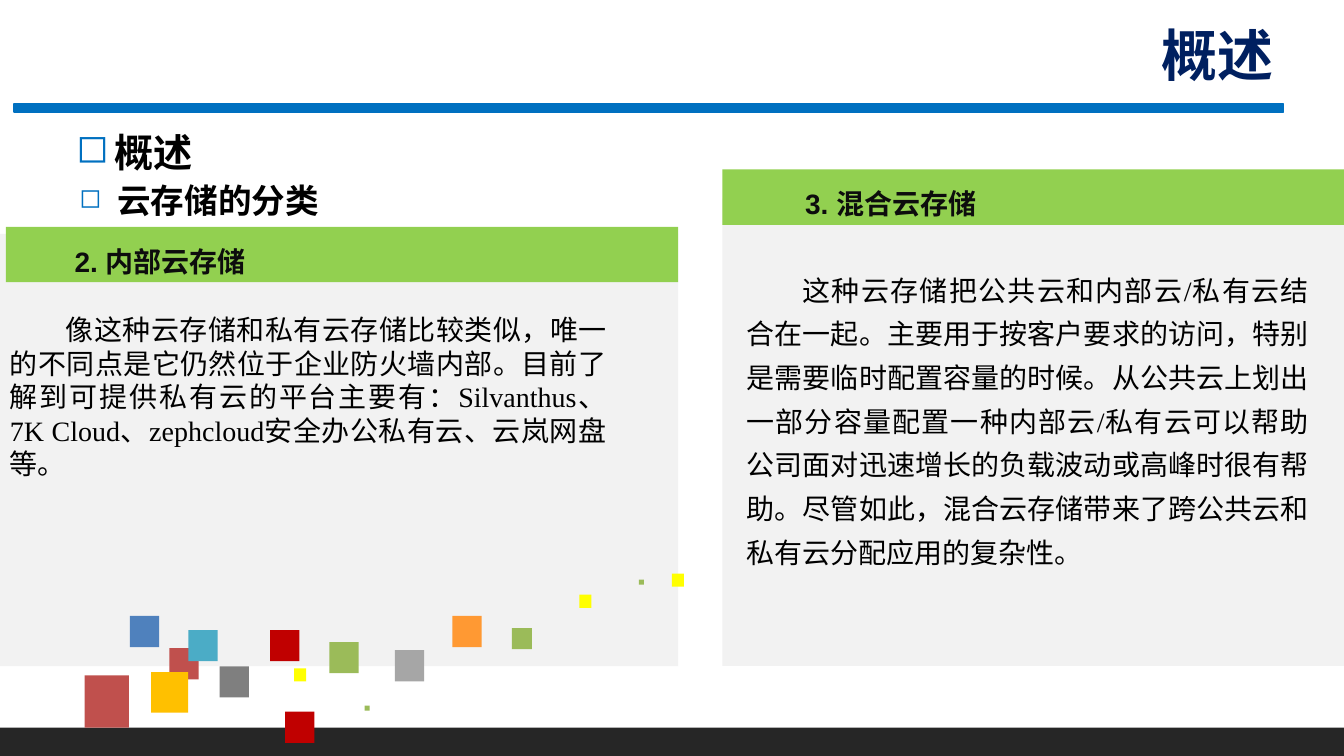
"""Build the slide on internal and hybrid cloud storage."""
from lxml.etree import SubElement
from pptx import Presentation
from pptx.dml.color import RGBColor
from pptx.enum.shapes import MSO_SHAPE as Shape
from pptx.enum.text import MSO_ANCHOR as Anchor, PP_ALIGN as Align
from pptx.oxml.ns import qn
from pptx.util import Pt

WIDTH, HEIGHT = 960.48, 540
CJK_FONT = "Noto Sans CJK SC"
COLORS = {
    "panel": "F2F2F2", "bar": "92D050", "floor": "262626", "rule": "0070C0",
    "title": "002060", "heading": "0D0D0D", "text": "000000",
    "brick": "C0504D", "amber": "FFC000", "teal": "4BACC6", "green": "9BBB59",
    "blue": "4F81BD", "yellow": "FFFF00", "red": "C00000", "gray": "7F7F7F",
    "orange": "FF9933", "silver": "A6A6A6",
}
TITLE = "概述"
OUTLINE = [
    ("概述", 28, 100, (47.5, 87.8, 98.6, 41)),
    ("云存储的分类", 24, 80, (49.7, 125.3, 187.9, 36)),
]
SECTIONS = [
    {
        "heading": "2. 内部云存储",
        "body": "像这种云存储和私有云存储比较类似，唯一的不同点是它仍然位于企业防火墙内部。"
                "目前了解到可提供私有云的平台主要有：Silvanthus、7K Cloud、zephcloud"
                "安全办公私有云、云岚网盘等。",
        "panel": (0, 167, 484.6, 308.9), "bar": (4.3, 162, 480.3, 39.6),
        "heading_box": (43.9, 162.7, 262.8, 41),
        "body_box": (0, 219.6, 440.6, 236.2), "insets": (7.2, 3.6), "spacing": 1.0,
    },
    {
        "heading": "3. 混合云存储",
        "body": "这种云存储把公共云和内部云/私有云结合在一起。主要用于按客户要求的访问，"
                "特别是需要临时配置容量的时候。从公共云上划出一部分容量配置一种内部云/私有云"
                "可以帮助公司面对迅速增长的负载波动或高峰时很有帮助。尽管如此，"
                "混合云存储带来了跨公共云和私有云分配应用的复杂性。",
        "panel": (516.2, 141.8, 444.28, 333.9), "bar": (516.2, 121, 444.28, 39.6),
        "heading_box": (565.9, 121, 262.8, 41),
        "body_box": (524.2, 182.9, 420.5, 236.2), "insets": (9.4, 5), "spacing": 1.3,
    },
]
SIZES = {
    "dot": (3.6, 3.6), "tiny": (8.6, 9.4), "small": (14.4, 15.1),
    "medium": (20.9, 22.3), "large": (26.6, 28.8), "huge": (31.7, 37.4),
}
SQUARES = [
    ("huge", "brick", 60.5, 482.4), ("medium", "brick", 121, 463),
    ("large", "amber", 108, 480.2), ("medium", "teal", 134.6, 450),
    ("dot", "green", 260.6, 504), ("medium", "blue", 92.9, 439.9),
    ("tiny", "yellow", 210.2, 477.4), ("medium", "green", 235.4, 458.6),
    ("medium", "red", 193, 450), ("medium", "gray", 157, 475.9),
    ("medium", "red", 203.8, 508.3), ("dot", "green", 456.5, 414),
    ("tiny", "yellow", 414, 424.8), ("small", "green", 365.8, 448.6),
    ("medium", "orange", 323.3, 439.9), ("medium", "silver", 282.2, 464.4),
    ("tiny", "yellow", 480.2, 409.7),
]


def color(name):
    return RGBColor.from_string(COLORS[name])


def add_block(page, place, fill):
    block = page.shapes.add_shape(Shape.RECTANGLE, *map(Pt, place))
    block.shadow.inherit = False
    block.fill.solid()
    block.fill.fore_color.rgb = color(fill)
    block.line.fill.background()
    return block


def write(box, text, size, font, ink, bold=False, insets=(7.2, 3.6), wrap=True):
    frame = box.text_frame
    frame.word_wrap = wrap
    frame.margin_left = frame.margin_right = Pt(insets[0])
    frame.margin_top = frame.margin_bottom = Pt(insets[1])
    para = frame.paragraphs[0]
    span = para.add_run()
    span.text = text
    span.font.size, span.font.name, span.font.bold = Pt(size), font, bold
    span.font.color.rgb = color(ink)
    SubElement(span.font._element, qn("a:ea"), typeface=CJK_FONT)
    return para


def add_text(page, place, *args, **options):
    return write(page.shapes.add_textbox(*map(Pt, place)), *args, **options)


def add_bullet(para, scale):
    props = para._p.get_or_add_pPr()
    props.set("marL", str(Pt(27)))
    props.set("indent", str(Pt(-27)))
    SubElement(SubElement(props, qn("a:buClr")), qn("a:srgbClr"), val=COLORS["rule"])
    SubElement(props, qn("a:buSzPct"), val=str(scale * 1000))
    SubElement(props, qn("a:buChar"), char="◻")


def add_section(page, section):
    add_block(page, section["panel"], "panel")
    add_block(page, section["bar"], "bar")
    heading = add_text(page, section["heading_box"], section["heading"], 20, "Arial",
                       "heading", bold=True, insets=(9.4, 5))
    heading.line_spacing = 1.3
    body = add_text(page, section["body_box"], section["body"], 20, "Times New Roman",
                    "text", insets=section["insets"])
    body.line_spacing = section["spacing"]
    body.alignment = Align.JUSTIFY
    body._p.get_or_add_pPr().set("indent", str(Pt(40)))
    for para in (heading, body):
        para.space_before = Pt(4)


def main():
    deck = Presentation()
    deck.slide_width, deck.slide_height = Pt(WIDTH), Pt(HEIGHT)
    page = deck.slides.add_slide(deck.slide_layouts[5])

    title = page.shapes.title
    title.left, title.top, title.width, title.height = map(Pt, (461.5, 24.5, 455.8, 41.8))
    write(title, TITLE, 40, "Lato", "title", bold=True).alignment = Align.RIGHT
    title.text_frame.vertical_anchor = Anchor.BOTTOM
    rule = add_block(page, (10.1, 74.2, 907.2, 5.8), "rule")
    rule.line.color.rgb = color("rule")
    rule.line.width = Pt(1)

    for section in SECTIONS:
        add_section(page, section)
    for text, size, scale, place in OUTLINE:
        add_bullet(add_text(page, place, text, size, CJK_FONT, "text", bold=True,
                            wrap=False), scale)

    add_block(page, (0, 519.8, WIDTH, HEIGHT - 519.8), "floor")
    for size, fill, left, top in SQUARES:
        add_block(page, (left, top, *SIZES[size]), fill)
    deck.save("out.pptx")


if __name__ == "__main__":
    main()
